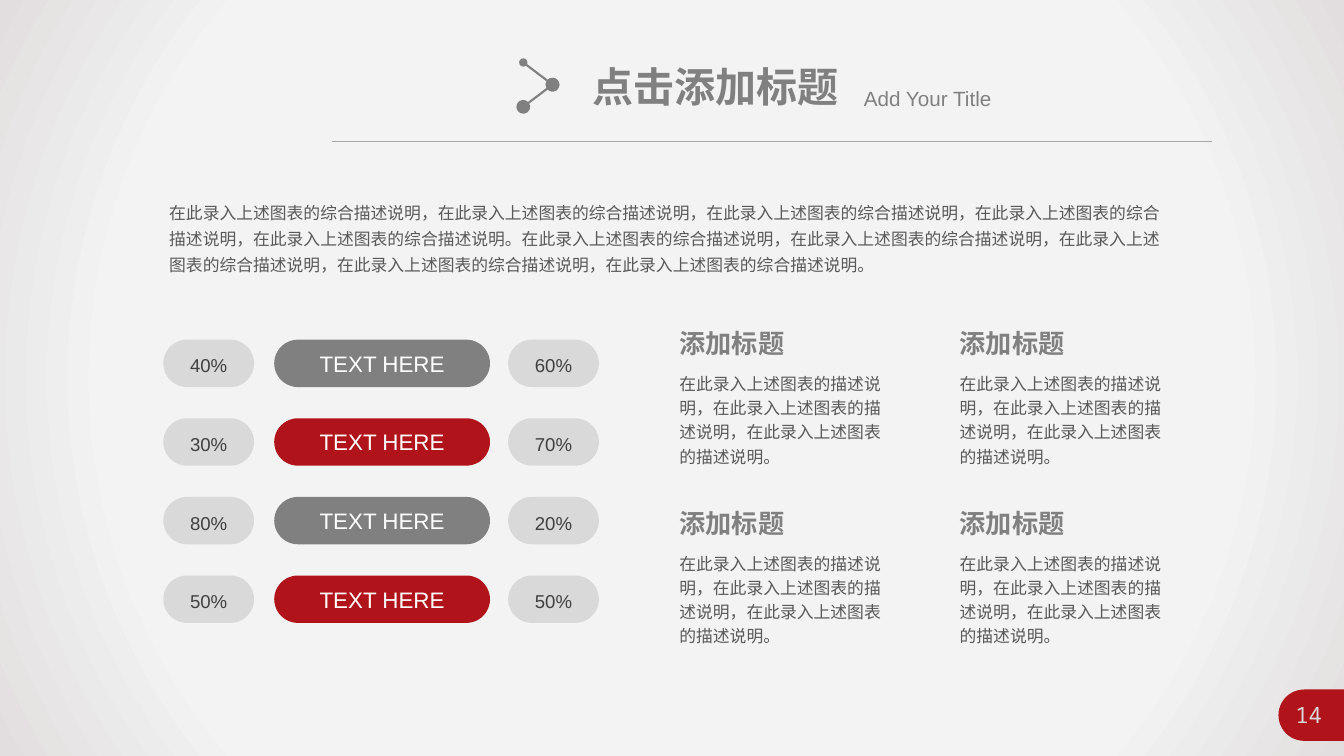
from dataclasses import dataclass
from math import cos, pi, sin

from lxml.etree import SubElement
from pptx import Presentation
from pptx.dml.color import RGBColor
from pptx.enum.shapes import MSO_CONNECTOR, MSO_SHAPE
from pptx.enum.text import MSO_ANCHOR, PP_ALIGN
from pptx.oxml import parse_xml
from pptx.oxml.ns import nsdecls, qn
from pptx.util import Inches, Pt


@dataclass(frozen=True)
class Theme:
    red: str = "B01319"
    gray: str = "808080"
    pale: str = "D9D9D9"
    rule: str = "A6A6A6"
    white: str = "FFFFFF"
    dark: str = "404040"
    body: str = "595959"
    latin: str = "Arial"
    chinese: str = "Noto Sans CJK SC"
    mono: str = "Noto Sans Mono"
    title_size: float = 29.3
    heading_size: float = 18.7
    label_size: float = 16
    subtitle_size: float = 14.7
    percent_size: float = 13.3
    body_size: float = 12


theme = Theme()


def write(shape, text, size, color, font=theme.latin, bold=False,
          align=PP_ALIGN.LEFT, spacing=1.0, anchor=MSO_ANCHOR.TOP, wrap=True):
    frame = shape.text_frame
    frame.text = text
    frame.word_wrap = wrap
    frame.vertical_anchor = anchor
    para = frame.paragraphs[0]
    para.alignment = align
    para.line_spacing = spacing
    span = para.runs[0]
    span.font.name = font
    span.font.size = Pt(size)
    span.font.bold = bold
    span.font.color.rgb = RGBColor.from_string(color)
    east_asian = SubElement(span.font._element, qn("a:ea"))
    east_asian.set("typeface", theme.chinese)


def draw_line(start, end, color, width):
    line = page.shapes.add_connector(
        MSO_CONNECTOR.STRAIGHT, *(Inches(value) for value in start + end))
    line.line.color.rgb = RGBColor.from_string(color)
    line.line.width = Pt(width)
    SubElement(line._element.spPr, qn("a:effectLst"))
    return line


deck = Presentation()
deck.slide_width = Inches(13.33)
deck.slide_height = Inches(7.5)
page = deck.slides.add_slide(deck.slide_layouts[5])
shapes = page.shapes

# Background with a soft circular gradient
backdrop = shapes.add_shape(MSO_SHAPE.RECTANGLE, 0, 0, deck.slide_width, deck.slide_height)
backdrop.shadow.inherit = False
backdrop.line.fill.background()
stops = "".join(
    f'<a:gs pos="{position * 1000}"><a:srgbClr val="{color}"/></a:gs>'
    for position, color in ((0, "F5F5F5"), (73, "F3F3F3"), (100, "E2DEDF")))
gradient = parse_xml(
    f'<a:gradFill {nsdecls("a")} rotWithShape="1"><a:gsLst>{stops}</a:gsLst>'
    '<a:path path="circle"><a:fillToRect l="50000" t="50000" r="50000" b="50000"/>'
    '</a:path></a:gradFill>')
backdrop._element.spPr.find(qn("a:prstGeom")).addnext(gradient)

# Title, subtitle and rule
title = page.shapes.title
title.left, title.top, title.width, title.height = (
    Inches(value) for value in (5.78, 0.56, 2.67, 0.59))
write(title, "点击添加标题", theme.title_size, theme.gray, bold=True,
      anchor=MSO_ANCHOR.MIDDLE, wrap=False)
subtitle = shapes.add_textbox(Inches(8.47), Inches(0.8), Inches(2.52), Inches(0.35))
write(subtitle, "Add Your Title", theme.subtitle_size, theme.gray)
draw_line((3.29, 1.4), (12.02, 1.4), theme.rule, 0.5)

# Title icon: two strokes with round ends
icon_points = ((5.19, 0.62), (5.48, 0.84), (5.19, 1.06))
for start, end, start_size in zip(icon_points, icon_points[1:], ("med", "lg")):
    stroke = draw_line(start, end, theme.gray, 1.5)
    outline = stroke.line._get_or_add_ln()
    for tag, size in (("a:headEnd", start_size), ("a:tailEnd", "lg")):
        dot = SubElement(outline, qn(tag))
        dot.set("type", "oval")
        dot.set("w", size)
        dot.set("len", size)

# Summary paragraph
summary_clause = "在此录入上述图表的综合描述说明"
summary_sentence = "，".join([summary_clause] * 5) + "。"
summary = shapes.add_textbox(Inches(1.58), Inches(1.9), Inches(10.18), Inches(0.89))
write(summary, summary_sentence * 2, theme.body_size, theme.body, theme.chinese, spacing=1.3)

# Rows of pills: share, label, share
rows = (("40%", "60%", theme.gray), ("30%", "70%", theme.red),
        ("80%", "20%", theme.gray), ("50%", "50%", theme.red))
for row, (left_share, right_share, accent) in enumerate(rows):
    top = 3.37 + row * 0.78
    pills = (
        (2.72, 2.14, "TEXT HERE", accent, theme.label_size, theme.white, 1.0),
        (1.62, 0.9, left_share, theme.pale, theme.percent_size, theme.dark, 1.2),
        (5.04, 0.9, right_share, theme.pale, theme.percent_size, theme.dark, 1.2))
    for left, width, text, fill, size, color, spacing in pills:
        pill = shapes.add_shape(MSO_SHAPE.ROUNDED_RECTANGLE, Inches(left), Inches(top),
                                Inches(width), Inches(0.47))
        pill.adjustments[0] = 0.5
        pill.shadow.inherit = False
        pill.fill.solid()
        pill.fill.fore_color.rgb = RGBColor.from_string(fill)
        pill.line.fill.background()
        write(pill, text, size, color, align=PP_ALIGN.CENTER, spacing=spacing,
              anchor=MSO_ANCHOR.MIDDLE)

# Two by two grid of headed notes
note_text = "，".join(["在此录入上述图表的描述说明"] * 3) + "。"
for top in (3.2, 4.98):
    for left in (6.64, 9.42):
        heading = shapes.add_textbox(Inches(left), Inches(top), Inches(1.4), Inches(0.42))
        write(heading, "添加标题", theme.heading_size, theme.gray, theme.chinese, bold=True)
        note = shapes.add_textbox(Inches(left), Inches(top + 0.42), Inches(2.34), Inches(1.07))
        write(note, note_text, theme.body_size, theme.body, theme.chinese, spacing=1.2)

# Page number tab, rounded on the left
radius, center_x, center_y = 0.255, 12.935, 7.095
arc = [(Inches(center_x - radius * sin(pi * step / 24)),
        Inches(center_y - radius * cos(pi * step / 24))) for step in range(25)]
builder = shapes.build_freeform(deck.slide_width, arc[0][1])
builder.add_line_segments(arc + [(deck.slide_width, arc[-1][1])], close=True)
tab = builder.convert_to_shape()
tab.shadow.inherit = False
tab.fill.solid()
tab.fill.fore_color.rgb = RGBColor.from_string(theme.red)
tab.line.fill.background()
number = shapes.add_textbox(Inches(12.65), Inches(6.91), Inches(0.66), Inches(0.37))
write(number, "14", theme.label_size, theme.pale, theme.mono, align=PP_ALIGN.CENTER)

# Bring the title in front of the background
backdrop._element.addnext(title._element)

deck.save("out.pptx")
